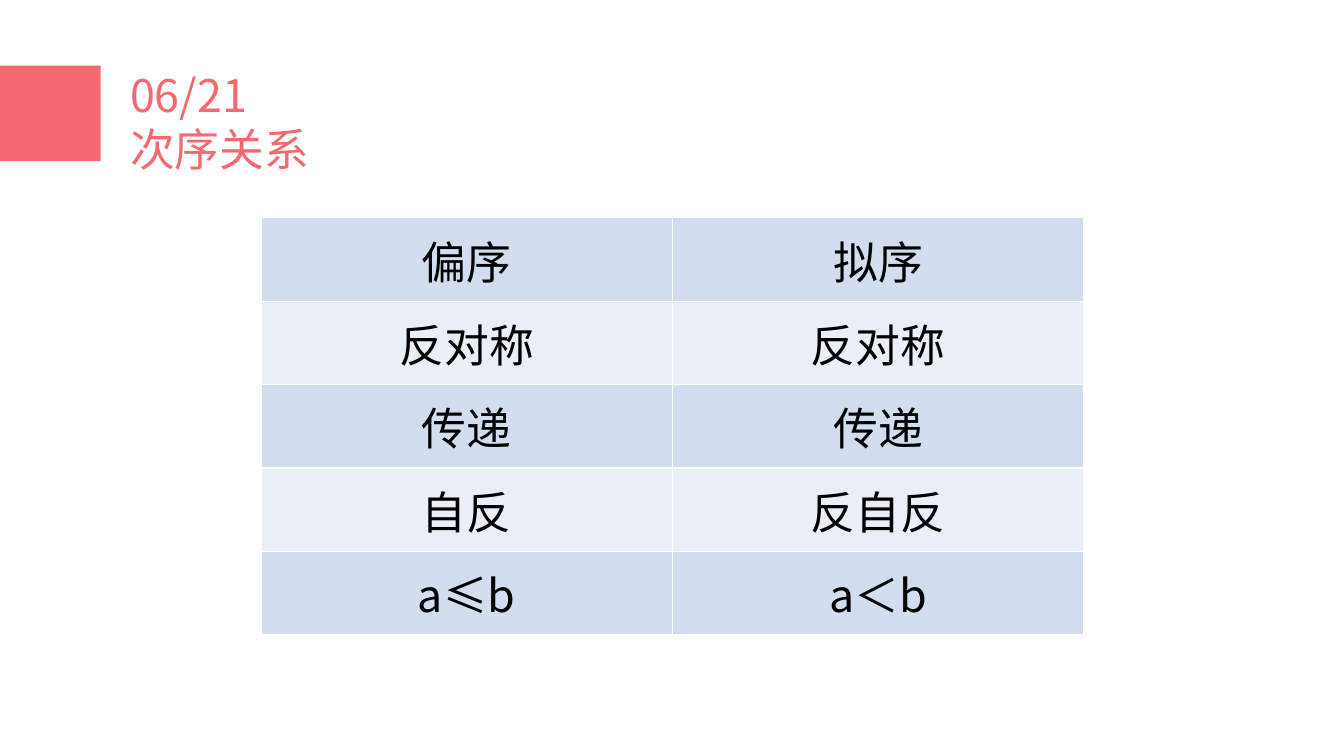
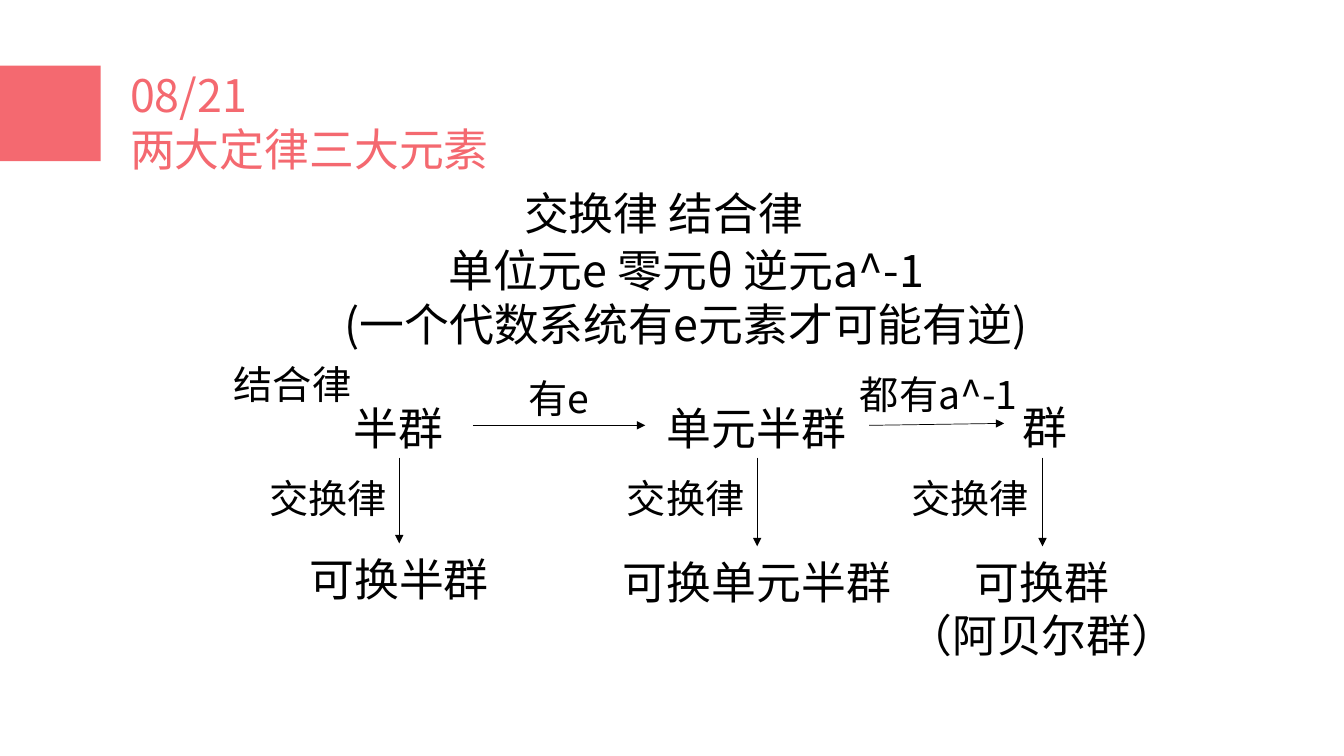
from dataclasses import dataclass

import pptx
import pptx.dml.color
import pptx.enum.shapes
import pptx.enum.text
import pptx.oxml
import pptx.oxml.ns
import pptx.util
from lxml import etree
from pptx.util import Inches

COLORS = {
    "accent": "F46970",
    "text": "000000",
    "band_dark": "D2DEEF",
    "band_light": "EAEFF7",
    "border": "FFFFFF",
}
FONT = "Noto Sans CJK SC"
LARGE, SMALL = 32, 28
LINE_FACTOR = 1.2
LEFT = pptx.enum.text.PP_ALIGN.LEFT
CENTER = pptx.enum.text.PP_ALIGN.CENTER


@dataclass(frozen=True)
class Label:
    """A text box; each entry of lines is one paragraph."""
    left: float
    top: float
    width: float
    lines: tuple[str, ...]
    size: int = LARGE
    align: pptx.enum.text.PP_ALIGN = CENTER


@dataclass(frozen=True)
class Arrow:
    start: tuple[float, float]
    end: tuple[float, float]


ORDER_ROWS = [
    ("偏序", "拟序"),
    ("反对称", "反对称"),
    ("传递", "传递"),
    ("自反", "反自反"),
    ("a≤b", "a＜b"),
]

LAW_LABELS = [
    # Laws and special elements
    Label(5.1, 1.76, 3.14, ("交换律 结合律",), align=LEFT),
    Label(1.53, 2.33, 10.55, ("单位元e 零元θ 逆元a^-1", "(一个代数系统有e元素才可能有逆)")),
    # Structures
    Label(3.22, 3.9, 1.46, ("半群",)),
    Label(6.4, 3.9, 2.21, ("单元半群",)),
    Label(9.96, 3.89, 0.81, ("群",)),
    # Commutative structures
    Label(2.86, 5.39, 2.2, ("可换半群",)),
    Label(5.84, 5.42, 3.33, ("可换单元半群",)),
    Label(8.67, 5.42, 3.33, ("可换群", "（阿贝尔群）")),
    # Conditions beside the arrows
    Label(2.22, 3.5, 1.66, ("结合律",), SMALL, LEFT),
    Label(4.71, 3.63, 1.66, ("有e",), SMALL),
    Label(8.3, 3.59, 2.02, ("都有a^-1",), SMALL),
    *(Label(left, 4.63, 1.66, ("交换律",), SMALL, LEFT) for left in (2.57, 6.12, 8.94)),
]

LAW_ARROWS = [
    Arrow((4.69, 4.22), (6.4, 4.22)),
    Arrow((8.62, 4.22), (9.96, 4.2)),
    *(Arrow((x, 4.54), (x, bottom)) for x, bottom in ((3.96, 5.39), (7.51, 5.42), (10.34, 5.42))),
]


def rgb(name: str) -> pptx.dml.color.RGBColor:
    return pptx.dml.color.RGBColor.from_string(COLORS[name])


def format_paragraph(paragraph, size: int, color: str, align) -> None:
    paragraph.alignment = align
    paragraph.font.size = pptx.util.Pt(size)
    paragraph.font.color.rgb = rgb(color)
    paragraph.font.name = FONT
    properties = paragraph._p.pPr.find(pptx.oxml.ns.qn("a:defRPr"))
    etree.SubElement(properties, pptx.oxml.ns.qn("a:ea"), typeface=FONT)


def fill_text(frame, lines: tuple[str, ...], size: int, color: str, align) -> None:
    frame.word_wrap = True
    frame.auto_size = pptx.enum.text.MSO_AUTO_SIZE.SHAPE_TO_FIT_TEXT
    frame.vertical_anchor = pptx.enum.text.MSO_ANCHOR.TOP
    frame.margin_left = frame.margin_right = Inches(0.1)
    frame.margin_top, frame.margin_bottom = Inches(0.08), Inches(0.02)
    frame.text = "\n".join(lines)
    for paragraph in frame.paragraphs:
        paragraph.line_spacing = pptx.util.Pt(size * LINE_FACTOR)
        format_paragraph(paragraph, size, color, align)


def text_height(line_count: int, size: int) -> float:
    return round(0.1 + line_count * size * LINE_FACTOR / 72, 2)


def add_titled_slide(presentation, number: str, heading: str):
    slide = presentation.slides.add_slide(presentation.slide_layouts[5])
    # Accent block at the left edge
    block = slide.shapes.add_shape(
        pptx.enum.shapes.MSO_SHAPE.RECTANGLE, 0, Inches(0.65), Inches(1), Inches(0.95))
    block.shadow.inherit = False
    block.fill.solid()
    block.fill.fore_color.rgb = rgb("accent")
    block.line.fill.background()
    # Page number and heading
    title = slide.shapes.title
    title.left, title.top = Inches(1.19), Inches(0.59)
    title.width, title.height = Inches(5.86), Inches(1.18)
    fill_text(title.text_frame, (number, heading), LARGE, "accent", LEFT)
    return slide


def add_label(slide, label: Label) -> None:
    height = text_height(len(label.lines), label.size)
    box = slide.shapes.add_textbox(
        Inches(label.left), Inches(label.top), Inches(label.width), Inches(height))
    fill_text(box.text_frame, label.lines, label.size, "text", label.align)


def add_arrow(slide, arrow: Arrow) -> None:
    connector = slide.shapes.add_connector(
        pptx.enum.shapes.MSO_CONNECTOR.STRAIGHT,
        *(Inches(value) for value in arrow.start + arrow.end))
    connector.line.color.rgb = rgb("text")
    connector.line.width = pptx.util.Pt(0.5)
    line = connector.line._get_or_add_ln()
    etree.SubElement(line, pptx.oxml.ns.qn("a:tailEnd"), type="triangle")
    etree.SubElement(connector._element.spPr, pptx.oxml.ns.qn("a:effectLst"))


def add_borders(cell) -> None:
    properties = cell._tc.get_or_add_tcPr()
    for side in ("L", "R", "T", "B"):
        line = etree.SubElement(
            properties, pptx.oxml.ns.qn(f"a:ln{side}"), w=str(pptx.util.Pt(1)))
        fill = etree.SubElement(line, pptx.oxml.ns.qn("a:solidFill"))
        etree.SubElement(fill, pptx.oxml.ns.qn("a:srgbClr"), val=COLORS["border"])


def add_banded_table(slide, rows: list[tuple[str, ...]]) -> None:
    table = slide.shapes.add_table(
        len(rows), len(rows[0]),
        Inches(2.59), Inches(2.16), Inches(8.16), Inches(4.14)).table
    table.first_row = table.horz_banding = False
    for row_index, row in enumerate(rows):
        band = "band_light" if row_index % 2 else "band_dark"
        for column_index, text in enumerate(row):
            cell = table.cell(row_index, column_index)
            add_borders(cell)
            cell.fill.solid()
            cell.fill.fore_color.rgb = rgb(band)
            cell.vertical_anchor = pptx.enum.text.MSO_ANCHOR.MIDDLE
            cell.text = text
            format_paragraph(cell.text_frame.paragraphs[0], LARGE, "text", CENTER)


def main() -> None:
    presentation = pptx.Presentation()
    presentation.slide_width = Inches(13.33)
    presentation.slide_height = Inches(7.5)

    # Order relations
    slide = add_titled_slide(presentation, "06/21", "次序关系")
    add_banded_table(slide, ORDER_ROWS)

    # Laws, elements and the group hierarchy
    slide = add_titled_slide(presentation, "08/21", "两大定律三大元素")
    for label in LAW_LABELS:
        add_label(slide, label)
    for arrow in LAW_ARROWS:
        add_arrow(slide, arrow)

    presentation.save("out.pptx")


if __name__ == "__main__":
    main()
